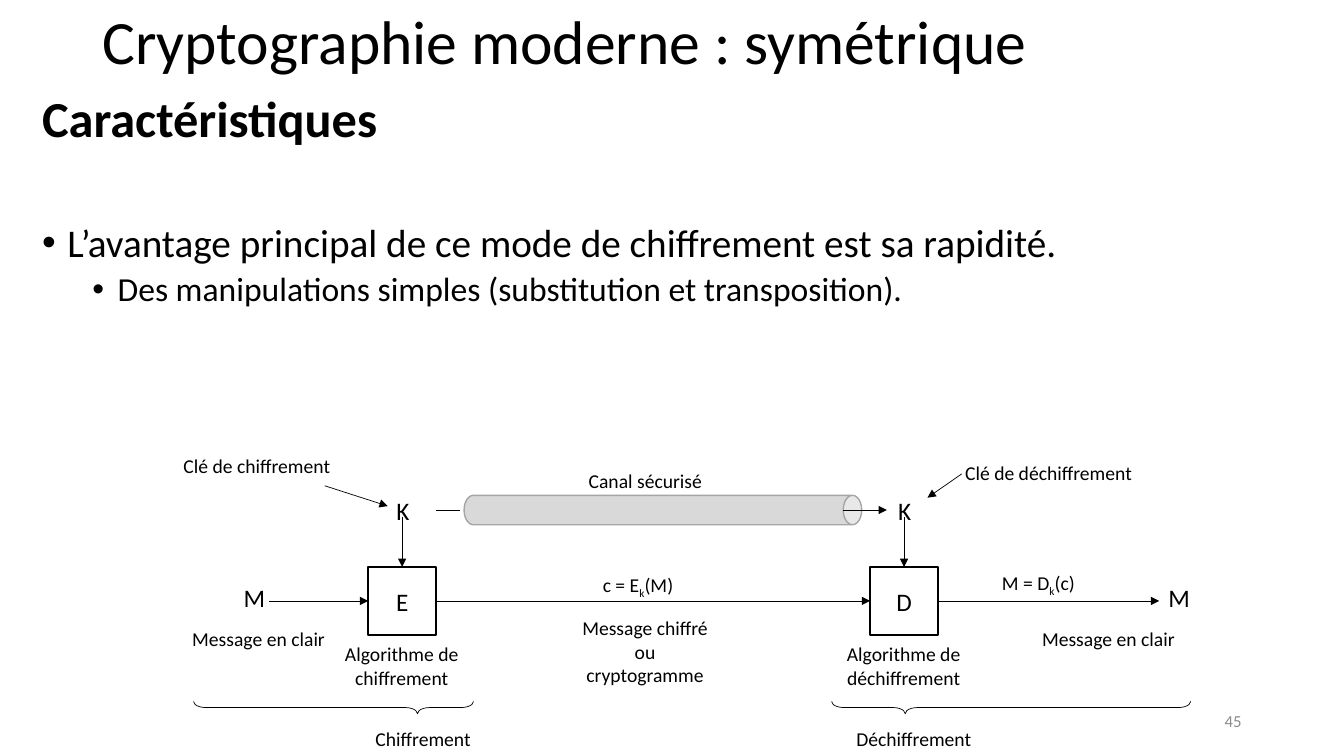
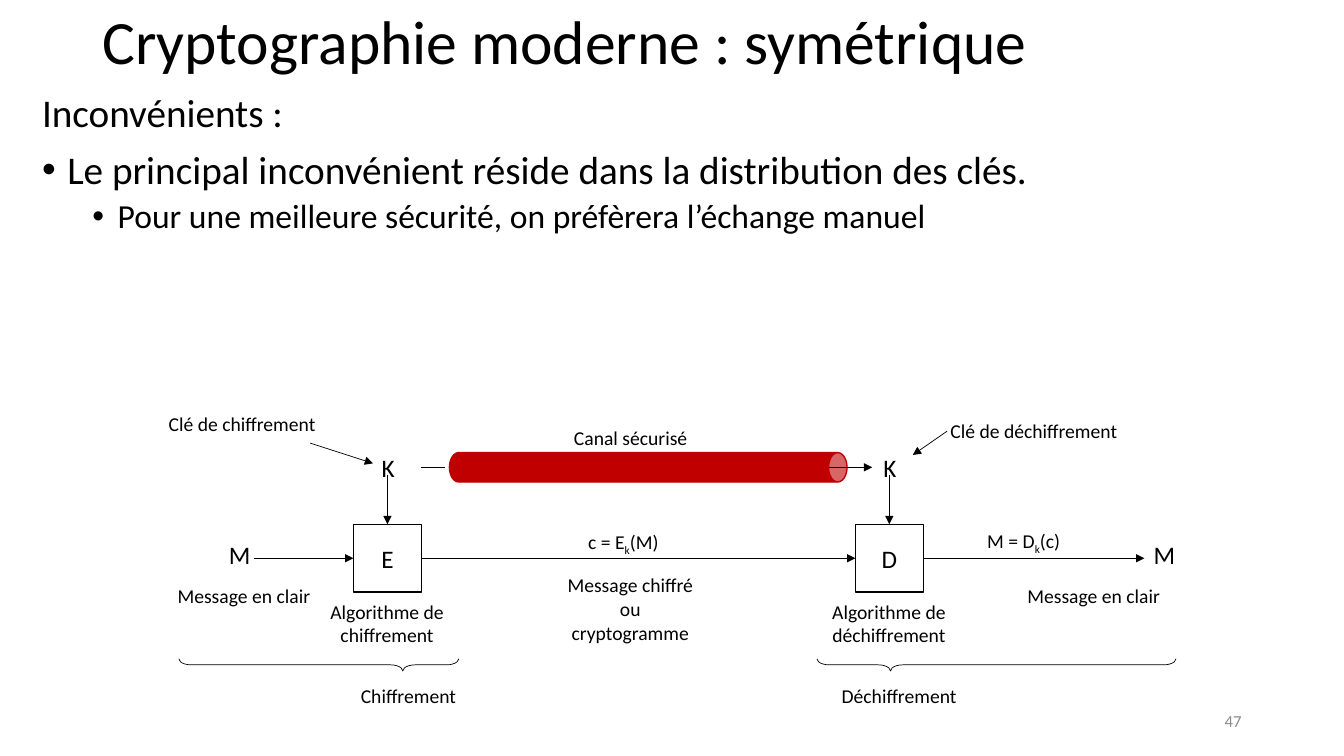
from dataclasses import dataclass

from lxml.etree import SubElement
from pptx import Presentation
from pptx.dml.color import RGBColor
from pptx.enum.shapes import MSO_CONNECTOR, MSO_SHAPE
from pptx.enum.text import MSO_ANCHOR, PP_ALIGN
from pptx.oxml.ns import qn
from pptx.util import Pt


@dataclass(frozen=True)
class Theme:
    """Colours, font and type sizes of the deck."""

    font: str = "Calibri"
    ink: str = "000000"
    paper: str = "FFFFFF"
    muted: str = "8C8C8C"
    pipe_fill: str = "D9D9D9"
    pipe_line: str = "A5A5A5"
    alert: str = "C00000"
    title: int = 44
    heading: int = 36
    body: int = 28
    detail: int = 24
    symbol: int = 18
    label: int = 14
    footer: int = 12
    thin: float = 0.5
    edge: float = 1


@dataclass(frozen=True)
class Box:
    """A rectangle in points."""

    left: float
    top: float
    width: float
    height: float

    def inside(self, left, top, width, height):
        """Return a box placed relative to this one."""
        return Box(self.left + left, self.top + top, width, height)

    def lengths(self):
        """Return the four lengths for python-pptx."""
        return [Pt(value) for value in (self.left, self.top, self.width, self.height)]


THEME = Theme()
TITLE_BOX = Box(66, 0, 828, 63)
BODY_BOX = Box(23, 63.5, 919.5, 463.5)
NUMBER_BOX = Box(678, 500.5, 216, 28.5)


def write_spans(para, text, size=THEME.label, color=THEME.ink, bold=False):
    """Write text into a paragraph, with parts between bars as subscripts."""
    for index, part in enumerate(text.split("|")):
        span = para.add_run()
        span.text = part
        span.font.name = THEME.font
        span.font.size = Pt(size)
        span.font.bold = bold
        span.font.color.rgb = RGBColor.from_string(color)
        if index % 2:
            span.font._element.set("baseline", "-25000")


def write_text(frame, text, align=PP_ALIGN.CENTER, anchor=MSO_ANCHOR.TOP, line_spacing=None, **style):
    """Fill a text frame, one paragraph for each line."""
    frame.word_wrap = True
    frame.vertical_anchor = anchor
    for index, line in enumerate(text.split("\n")):
        para = frame.add_paragraph() if index else frame.paragraphs[0]
        para.alignment = align
        para.line_spacing = line_spacing
        write_spans(para, line, **style)


def add_text(page, box, text, **style):
    """Add a text box."""
    write_text(page.shapes.add_textbox(*box.lengths()).text_frame, text, **style)


def add_outline(page, kind, box, fill=None, line=THEME.ink, weight=THEME.edge):
    """Add a preset shape with flat fill and line."""
    shape = page.shapes.add_shape(kind, *box.lengths())
    shape.shadow.inherit = False
    if fill:
        shape.fill.solid()
        shape.fill.fore_color.rgb = RGBColor.from_string(fill)
    else:
        shape.fill.background()
    shape.line.color.rgb = RGBColor.from_string(line)
    shape.line.width = Pt(weight)
    return shape


def add_sideways(page, kind, box, rotation, adjustments, **style):
    """Add an upright shape turned to lie in a wide box."""
    shift = (box.width - box.height) / 2
    upright = box.inside(shift, -shift, box.height, box.width)
    shape = add_outline(page, kind, upright, **style)
    shape.rotation = rotation
    for index, value in enumerate(adjustments):
        shape.adjustments[index] = value


def add_line(page, box, start, end, arrow=True):
    """Add a thin line between two points of a box."""
    points = [Pt(value) for x, y in (start, end) for value in (box.left + x, box.top + y)]
    line = page.shapes.add_connector(MSO_CONNECTOR.STRAIGHT, *points)
    line.line.color.rgb = RGBColor.from_string(THEME.ink)
    line.line.width = Pt(THEME.thin)
    if arrow:
        SubElement(line.line._get_or_add_ln(), qn("a:tailEnd"), type="triangle")
    SubElement(line._element.spPr, qn("a:effectLst"))


def add_body(page, box, entries):
    """Add paragraphs given as text, level, size, bold and space before."""
    frame = page.shapes.add_textbox(*box.lengths()).text_frame
    frame.word_wrap = True
    for index, (text, level, size, bold, space) in enumerate(entries):
        para = frame.add_paragraph() if index else frame.paragraphs[0]
        para.line_spacing = 0.9
        para.space_before = Pt(space)
        if level:
            para.level = level - 1
            properties = para._p.get_or_add_pPr()
            properties.set("marL", str(Pt(36 * level - 18)))
            properties.set("indent", str(Pt(-18)))
            SubElement(properties, qn("a:buFont"), typeface="Arial")
            SubElement(properties, qn("a:buChar"), char="•")
        write_spans(para, text, size=size, bold=bold)


def add_station(page, box, letter, caption):
    """Add a cipher box with its key above and its caption below."""
    middle = box.width / 2
    square = add_outline(page, MSO_SHAPE.RECTANGLE, box, fill=THEME.paper)
    write_text(square.text_frame, letter, anchor=MSO_ANCHOR.MIDDLE, size=THEME.symbol)
    add_line(page, box, (middle, -35.5), (middle, 0))
    add_text(page, box.inside(13, -55, 35.5, 29), "K", align=PP_ALIGN.LEFT, size=THEME.symbol)
    add_text(page, box.inside(middle - 59, 50.25, 117.5, 41), caption)


def add_diagram(page, box, fill, line):
    """Add the symmetric encryption scheme."""
    key_y, message_y, side = 43.3, 108.25, 48.5
    sender, receiver = 145, 503.5
    add_sideways(page, MSO_SHAPE.CAN, box.inside(213.5, key_y - 10.5, 284, 21), 90, [0.628], fill=fill, line=line)
    for left, letter, caption in (
        (sender, "E", "Algorithme de chiffrement"),
        (receiver, "D", "Algorithme de déchiffrement"),
    ):
        add_station(page, box.inside(left, message_y - side / 2, side, side), letter, caption)
    add_line(page, box, (sender + side, key_y), (210.5, key_y), arrow=False)
    for start, end in (
        ((484.5, key_y), (515.5, key_y)),
        ((74, message_y), (sender, message_y)),
        ((sender + side, message_y), (receiver, message_y)),
        ((receiver + side, message_y), (710, message_y)),
        ((114, 26), (159, 40.5)),
        ((569, 17.5), (544.5, 34.5)),
    ):
        add_line(page, box, start, end)
    for left in (49, 709.5):
        add_text(page, box.inside(left, 91.5, 35.5, 29), "M", align=PP_ALIGN.LEFT, size=THEME.symbol)
    for left, top, width, text in (
        (0, 0, 131, "Clé de chiffrement"),
        (558, 5, 146, "Clé de déchiffrement"),
        (277.5, 10.25, 131, "Canal sécurisé"),
        (276.5, 84.5, 122.5, "c = E|k|(M)"),
        (562.5, 83.5, 122.5, "M = D|k|(c)"),
        (8, 123.25, 117.5, "Message en clair"),
        (615, 123.25, 117.5, "Message en clair"),
        (284, 115.5, 117.5, "Message chiffré ou\ncryptogramme"),
        (125.5, 194.5, 117.5, "Chiffrement"),
        (476, 194.5, 117.5, "Déchiffrement"),
    ):
        add_text(page, box.inside(left, top, width, 24.5), text)
    for left, width, tip in ((20.25, 200, 0.8), (476, 256.5, 0.205)):
        brace = box.inside(left, 180, width, 8.75)
        add_sideways(page, MSO_SHAPE.LEFT_BRACE, brace, 270, [1, tip], weight=THEME.thin)


def add_page(deck, number, entries, diagram_box, fill, line):
    """Add a slide with title, points, scheme and page number."""
    page = deck.slides.add_slide(deck.slide_layouts[6])
    add_text(page, TITLE_BOX, "Cryptographie moderne : symétrique", align=PP_ALIGN.LEFT,
             anchor=MSO_ANCHOR.MIDDLE, line_spacing=0.9, size=THEME.title)
    add_body(page, BODY_BOX, entries)
    add_diagram(page, diagram_box, fill, line)
    add_text(page, NUMBER_BOX, number, align=PP_ALIGN.RIGHT, anchor=MSO_ANCHOR.MIDDLE,
             size=THEME.footer, color=THEME.muted)


def main():
    """Build and save the deck."""
    deck = Presentation()
    deck.slide_width, deck.slide_height = Pt(960), Pt(540)
    add_page(deck, "45", [
        ("Caractéristiques", 0, THEME.heading, True, 10),
        ("L’avantage principal de ce mode de chiffrement est sa rapidité.", 1, THEME.body, False, 53.5),
        ("Des manipulations simples (substitution et transposition).", 2, THEME.detail, False, 5),
    ], Box(118, 321, 733, 219), THEME.pipe_fill, THEME.pipe_line)
    add_page(deck, "47", [
        ("Inconvénients :", 0, THEME.body, False, 10),
        ("Le principal inconvénient réside dans la distribution des clés.", 1, THEME.body, False, 10),
        ("Pour une meilleure sécurité, on préfèrera l’échange manuel", 2, THEME.detail, False, 5),
    ], Box(107.5, 290.5, 733, 219), THEME.alert, THEME.alert)
    deck.save("out.pptx")


if __name__ == "__main__":
    main()
